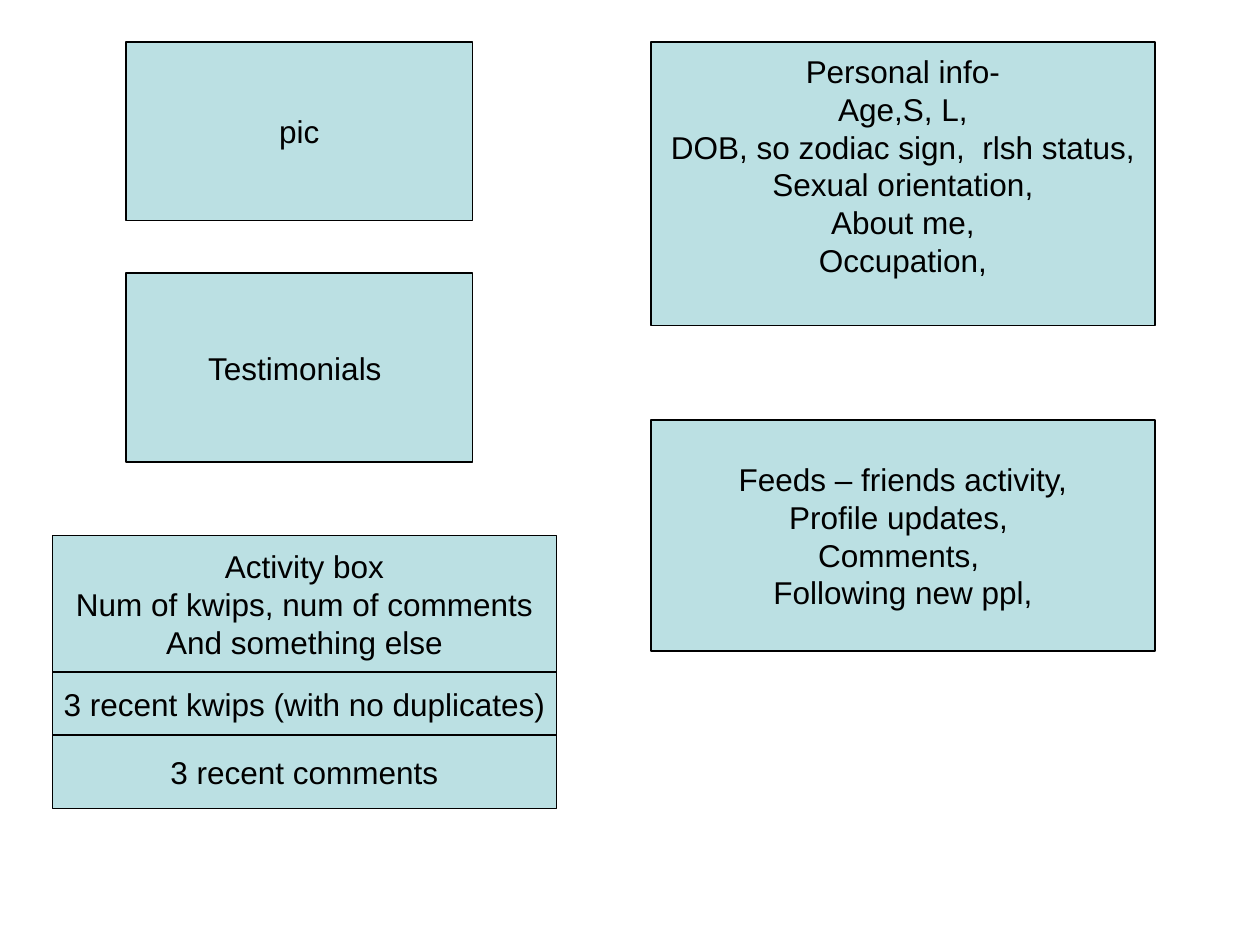
"""Build a wireframe slide of a profile page from labelled boxes."""
from dataclasses import dataclass

from pptx import Presentation
from pptx.dml.color import RGBColor as RGB
from pptx.enum.shapes import MSO_SHAPE as Shape
from pptx.enum.text import MSO_ANCHOR as Anchor, PP_ALIGN as Align
from pptx.util import Inches, Pt


@dataclass(frozen=True)
class Theme:
    fill: RGB = RGB(0xBB, 0xE0, 0xE3)
    ink: RGB = RGB(0, 0, 0)
    font: str = "Arial"
    size: float = 18
    line: float = 0.75
    inset: float = 0.05
    blank_line: float = 0.29


@dataclass(frozen=True)
class Box:
    col: int
    row: int
    cols: int
    rows: int
    lines: tuple[str, ...]
    raised: bool = False


THEME = Theme()
CELL = Inches(1) // 12
COLS, ROWS = 120, 90
TOP = 4
PHOTO_COL, PHOTO_COLS = 12, 33
INFO_COL, WIDE_COLS = 62, 48
ACTIVITY_COL, ACTIVITY_ROW = 5, 51

BOXES = (
    Box(PHOTO_COL, TOP, PHOTO_COLS, 17, ("pic",)),
    Box(INFO_COL, TOP, WIDE_COLS, 27, (
        "Personal info-", "Age,S, L,", "DOB, so zodiac sign,  rlsh status,",
        "Sexual orientation,", "About me,", "Occupation,"), raised=True),
    Box(INFO_COL, 40, WIDE_COLS, 22, (
        "Feeds – friends activity,", "Profile updates, ", "Comments, ",
        "Following new ppl,")),
    Box(PHOTO_COL, 26, PHOTO_COLS, 18, ("Testimonials ",)),
)
ACTIVITY = (
    (13, ("Activity box", "Num of kwips, num of comments", "And something else")),
    (6, ("3 recent kwips (with no duplicates)",)),
    (7, ("3 recent comments",)),
)


def write(tf, lines: tuple[str, ...], *, size: float = THEME.size,
          color: RGB = THEME.ink, font: str = THEME.font,
          align: Align = Align.CENTER) -> None:
    """Write one formatted paragraph for each line."""
    for i, line in enumerate(lines):
        p = tf.paragraphs[0] if i == 0 else tf.add_paragraph()
        p.alignment = align
        r = p.add_run()
        r.text = line
        r.font.name, r.font.size = font, Pt(size)
        r.font.color.rgb = color


def draw_box(s, box: Box) -> None:
    """Draw a box on the grid with its text centred."""
    sp = s.shapes.add_shape(
        Shape.RECTANGLE,
        *(n * CELL for n in (box.col, box.row, box.cols, box.rows)))
    sp.shadow.inherit = False
    sp.fill.solid()
    sp.fill.fore_color.rgb = THEME.fill
    sp.line.color.rgb = THEME.ink
    sp.line.width = Pt(THEME.line)
    tf = sp.text_frame
    tf.word_wrap = False
    tf.vertical_anchor = Anchor.MIDDLE
    tf.margin_bottom = Inches(THEME.inset + THEME.blank_line * box.raised)
    write(tf, box.lines)


def draw_stack(s, col: int, row: int, cols: int, parts: tuple) -> None:
    """Draw boxes of equal width directly below one another."""
    for rows, lines in parts:
        draw_box(s, Box(col, row, cols, rows, lines))
        row += rows


def main() -> None:
    """Create and save the slide."""
    prs = Presentation()
    prs.slide_width, prs.slide_height = COLS * CELL, ROWS * CELL
    s = prs.slides.add_slide(prs.slide_layouts[6])
    for box in BOXES:
        draw_box(s, box)
    draw_stack(s, ACTIVITY_COL, ACTIVITY_ROW, WIDE_COLS, ACTIVITY)
    prs.save("out.pptx")


if __name__ == "__main__":
    main()
